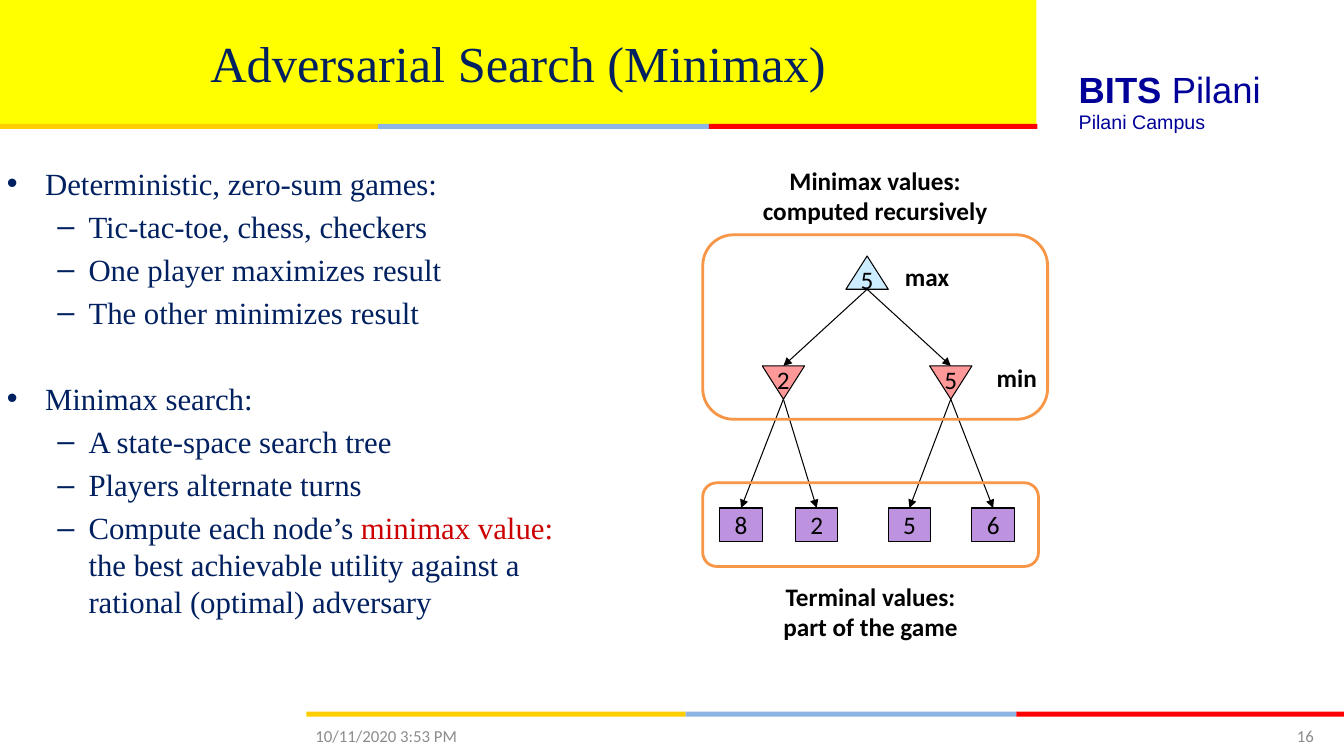
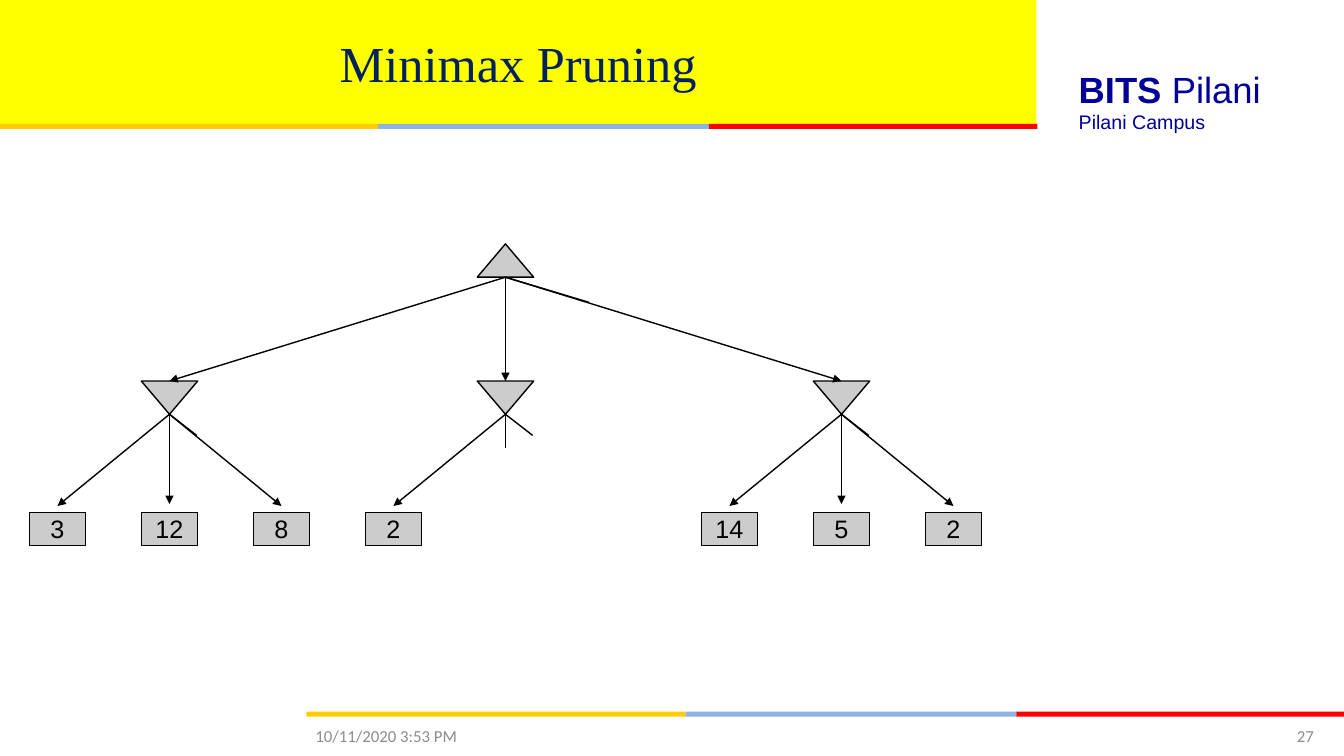
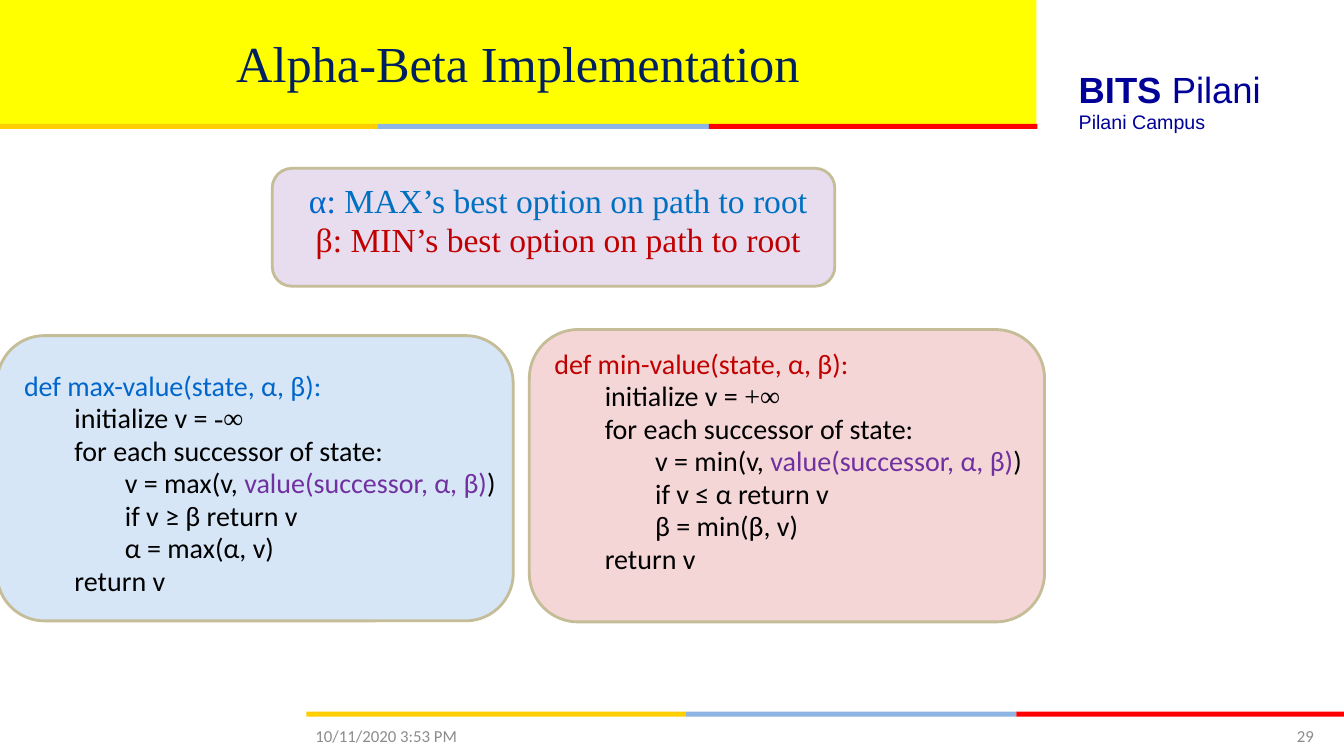
import pptx
import pptx.util
import pptx.dml.color
import pptx.enum.shapes
import pptx.enum.text
import pptx.oxml
import pptx.oxml.ns

Inches, Pt = pptx.util.Inches, pptx.util.Pt
SHAPE = pptx.enum.shapes.MSO_SHAPE
ANCHOR = pptx.enum.text.MSO_ANCHOR
ALIGN = {"l": pptx.enum.text.PP_ALIGN.LEFT, "c": pptx.enum.text.PP_ALIGN.CENTER,
         "r": pptx.enum.text.PP_ALIGN.RIGHT}

W, H = 13.33, 7.5
TITLE_W, TITLE_H = 10.28, 1.23
NAVY, BLACK, GREY, BRAND = "002060", "000000", "8C8C8C", "000099"
PURPLE, TAN, ORANGE = "7030A0", "C4BD97", "F79646"
SERIF, SANS, ARIAL = "Times New Roman", "Calibri", "Arial"
STRIPE = [("FFCE00", -0.01, 3.75), ("8EB4E3", 3.75, 7.03), ("FF0000", 7.03, 10.29)]
DATE = "10/11/2020 3:53 PM"
NODE_H = 0.33
BULLETS = [("•", 0.38, -0.38), ("–", 0.81, -0.31)]

POINTS = [
    (0, "Deterministic, zero-sum games:"),
    (1, "Tic-tac-toe, chess, checkers"),
    (1, "One player maximizes result"),
    (1, "The other minimizes result"),
    (0, "Minimax search:"),
    (1, "A state-space search tree"),
    (1, "Players alternate turns"),
    (1, ["Compute each node’s ", ("minimax value: ", {"color": "CC0000"}),
         "the best achievable utility against a rational (optimal) adversary"]),
]
GAME_ROOT = ("5", 8.6)
GAME_TREE = [("2", 7.77, [("8", 7.35), ("2", 8.1)]),
             ("5", 9.43, [("5", 9.02), ("6", 9.85)])]
GAME_LABELS = [(["max"], 8.83, 2.54, 0.73, 0.4), (["min"], 9.72, 3.54, 0.73, 0.4),
               (["Terminal values:", "part of the game"], 6.97, 5.71, 3.33, 0.71),
               (["Minimax values:", "computed recursively"], 6.97, 1.58, 3.42, 0.71)]
GAME_FRAMES = [(6.97, 4.79, 3.33, 0.83), (6.97, 2.33, 3.42, 1.83)]

PRUNED_LEAVES = [["3", "12", "8"], ["2"], ["14", "5", "2"]]

OPTIONS = [(0, [("α: ", {"color": "0066CC"}),
                ("MAX’s best option on path to root", {"color": "0070C0"})]),
           (0, [("β: MIN’s best option on path to root", {"color": "C00000"})])]
CODE = [
    {"name": "min", "color": "C00000", "start": "+∞", "test": "≤ α", "bound": "β",
     "panel": (5.25, 3.27, 5.11, 2.9), "text": (5.4, 3.45, 5.83, 2.5)},
    {"name": "max", "color": "0066CC", "start": "-∞", "test": "≥ β", "bound": "α",
     "panel": (-0.03, 3.33, 5.12, 2.83), "text": (0.14, 3.67, 5.43, 2.4)},
]


def rgb(value):
    return pptx.dml.color.RGBColor.from_string(value)


def box(x, y, w, h):
    return [Inches(v) for v in (x, y, w, h)]


def add_tag(parent, tag, **attrs):
    el = pptx.oxml.ns.qn(tag)
    child = parent.makeelement(el, attrs)
    parent.append(child)
    return child


def write(tf, paras, size=18, font=SANS, color=BLACK, bold=False, align="l",
          anchor=ANCHOR.TOP, wrap=True, before=0, line=None, bullets=None, step=0, gap=0):
    tf.word_wrap = wrap
    tf.auto_size = pptx.enum.text.MSO_AUTO_SIZE.NONE
    tf.vertical_anchor = anchor
    for i, para in enumerate(paras):
        level, runs = (0, para) if isinstance(para, str) else para
        p = tf.paragraphs[0] if i == 0 else tf.add_paragraph()
        pPr = p._p.get_or_add_pPr()
        if bullets:
            char, left, hang = bullets[level]
            pPr.set("marL", str(Inches(left)))
            pPr.set("indent", str(Inches(hang)))
            add_tag(pPr, "a:buFont", typeface=ARIAL)
            add_tag(pPr, "a:buChar", char=char)
        elif step:
            pPr.set("marL", str(Inches(step * level)))
            pPr.set("indent", "0")
        p.alignment = ALIGN[align]
        if line:
            p.line_spacing = line
        p.space_before = Pt(0 if i == 0 else before + (gap if level == 0 else 0))
        for run in [runs] if isinstance(runs, str) else runs:
            text, own = (run, {}) if isinstance(run, str) else run
            r = p.add_run()
            r.text = text
            r.font.size = Pt(size)
            r.font.name = own.get("font", font)
            r.font.bold = own.get("bold", bold)
            r.font.color.rgb = rgb(own.get("color", color))


def add_text(s, place, paras, **fmt):
    sp = s.shapes.add_textbox(*box(*place))
    write(sp.text_frame, paras, **fmt)


def add_shape(s, kind, place, fill=None, alpha=None, line=None, width=1):
    sp = s.shapes.add_shape(kind, *box(*place))
    sp.shadow.inherit = False
    if fill:
        sp.fill.solid()
        sp.fill.fore_color.rgb = rgb(fill)
        if alpha:
            clr = sp._element.spPr.find(".//" + pptx.oxml.ns.qn("a:srgbClr"))
            add_tag(clr, "a:alpha", val=str(alpha * 1000))
    else:
        sp.fill.background()
    if line:
        sp.line.color.rgb = rgb(line)
        sp.line.width = Pt(width)
    else:
        sp.line.fill.background()
    return sp


def add_line(s, start, end, width=1, arrow=True):
    c = s.shapes.add_connector(pptx.enum.shapes.MSO_CONNECTOR.STRAIGHT,
                               *[Inches(v) for v in (*start, *end)])
    c.line.color.rgb = rgb(BLACK)
    c.line.width = Pt(width)
    if arrow:
        add_tag(c.line._get_or_add_ln(), "a:tailEnd", type="triangle")
    add_tag(c._element.spPr, "a:effectLst")


def add_triangle(s, cx, top, w, fill, width, down=False):
    sp = add_shape(s, SHAPE.ISOSCELES_TRIANGLE, (cx - w / 2, top, w, NODE_H),
                   fill, line=BLACK, width=width)
    sp.rotation = 180 if down else 0


def add_leaf(s, text, cx, top, w, fill, font):
    sp = add_shape(s, SHAPE.RECTANGLE, (cx - w / 2, top, w, NODE_H),
                   fill, line=BLACK, width=0.75)
    write(sp.text_frame, [text], font=font, align="c", anchor=ANCHOR.MIDDLE, wrap=False)


def new_slide(prs, title, number):
    s = prs.slides.add_slide(prs.slide_layouts[5])
    t = s.shapes.title
    t.left, t.top, t.width, t.height = box(0, 0, TITLE_W, TITLE_H)
    t.fill.solid()
    t.fill.fore_color.rgb = rgb("FFFF00")
    write(t.text_frame, [title], size=36, font=SERIF, color=NAVY, align="c",
          anchor=ANCHOR.MIDDLE)
    for left, top in ((0, TITLE_H), (W - TITLE_W, 7.06)):
        for color, x1, x2 in STRIPE:
            add_shape(s, SHAPE.RECTANGLE, (left + x1, top, x2 - x1, 0.05), color)
    add_text(s, (10.6, 0.62, 2.7, 0.54), [(0, [("BITS ", {"bold": True}), "Pilani"])],
             size=26, font=ARIAL, color=BRAND)
    add_text(s, (10.6, 1.04, 2.39, 0.34), ["Pilani Campus"], size=14, font=ARIAL, color=BRAND)
    footer = {"size": 12, "color": GREY, "anchor": ANCHOR.MIDDLE}
    add_text(s, (3.03, 7.1, 3.11, 0.4), [DATE], **footer)
    add_text(s, (11.67, 7.1, 1.46, 0.4), [str(number)], align="r", **footer)
    return s


def minimax_slide(prs):
    s = new_slide(prs, "Adversarial Search (Minimax)", 16)
    add_text(s, (-0.03, 1.58, 6, 4.95), POINTS, size=22, font=SERIF, color=NAVY,
             before=4.4, gap=30.8, bullets=BULLETS)
    max_y, min_y, leaf_y, w = 2.54, 3.63, 5.04, 0.42
    root, root_x = GAME_ROOT
    values = [(root, root_x, max_y + 0.03)]
    add_triangle(s, root_x, max_y, w, "CCECFF", 0.75)
    for value, x, leaves in GAME_TREE:
        values.append((value, x, min_y - 0.06))
        add_triangle(s, x, min_y, w, "FF9999", 0.75, down=True)
        add_line(s, (root_x, max_y + NODE_H), (x, min_y), 0.75)
        for leaf, leaf_x in leaves:
            add_leaf(s, leaf, leaf_x, leaf_y, w, "BD92DE", SANS)
            add_line(s, (x, min_y + NODE_H), (leaf_x, leaf_y), 0.75)
    for value, x, y in values:
        add_text(s, (x - 0.17, y, 0.34, 0.4), [value], align="c", wrap=False)
    for paras, *place in GAME_LABELS:
        add_text(s, place, paras, bold=True, align="c", anchor=ANCHOR.MIDDLE)
    for place in GAME_FRAMES:
        add_shape(s, SHAPE.ROUNDED_RECTANGLE, place, line=ORANGE, width=2)


def pruning_slide(prs):
    s = new_slide(prs, "Minimax Pruning", 27)
    col, first, w, fill = W / 12, 0.57, 0.56, "CCCCCC"
    max_y, min_y, leaf_y = 2.42, 3.78, 5.08
    root_x, root_y = first + 4 * col, max_y + NODE_H
    add_triangle(s, root_x, max_y, w, fill, 1)
    stubs = [(root_x, root_y, 0.83, 0.25)]
    for group, leaves in enumerate(PRUNED_LEAVES):
        x, y = first + (3 * group + 1) * col, min_y + NODE_H
        add_triangle(s, x, min_y, w, fill, 1, down=True)
        add_line(s, (root_x, root_y), (x, min_y))
        stubs.append((x, y, 0.27, 0.21))
        for i, leaf in enumerate(leaves):
            leaf_x = x + (i - 1) * col
            add_leaf(s, leaf, leaf_x, leaf_y, w, fill, ARIAL)
            add_line(s, (x, y), (leaf_x, leaf_y - (0.08 if i == 1 else 0.06)))
    for x, y, dx, dy in stubs:
        add_line(s, (x, y), (x, y + 0.33), arrow=False)
        add_line(s, (x, y), (x + dx, y + dy), arrow=False)


def code_lines(c):
    name, bound = c["name"], c["bound"]
    return [
        (0, [(f"def {name}-value(state, α, β):", {"color": c["color"]})]),
        (1, ["initialize v = ", (c["start"], {"font": SERIF})]),
        (1, "for each successor of state:"),
        (2, [f"v = {name}(v, ", ("value(successor, α, β)", {"color": PURPLE}), ")"]),
        (2, f"if v {c['test']} return v"),
        (2, f"{bound} = {name}({bound}, v)"),
        (1, "return v"),
    ]


def alpha_beta_slide(prs):
    s = new_slide(prs, "Alpha-Beta Implementation", 29)
    panel = {"alpha": 16, "line": TAN, "width": 2}
    for c in CODE:
        add_shape(s, SHAPE.ROUNDED_RECTANGLE, c["panel"], c["color"], **panel)
        add_text(s, c["text"], code_lines(c), size=20, line=0.8, before=4, step=0.5)
    sp = add_shape(s, SHAPE.ROUNDED_RECTANGLE, (2.7, 1.67, 5.58, 1.17), PURPLE, **panel)
    sp.text_frame.margin_left = Inches(0.19)
    sp.text_frame.margin_bottom = Inches(0.12)
    write(sp.text_frame, OPTIONS, size=24, font=SERIF, align="c", anchor=ANCHOR.MIDDLE,
          line=0.8, before=4.8)


def main():
    prs = pptx.Presentation()
    prs.slide_width, prs.slide_height = Inches(W), Inches(H)
    minimax_slide(prs)
    pruning_slide(prs)
    alpha_beta_slide(prs)
    prs.save("out.pptx")


if __name__ == "__main__":
    main()
